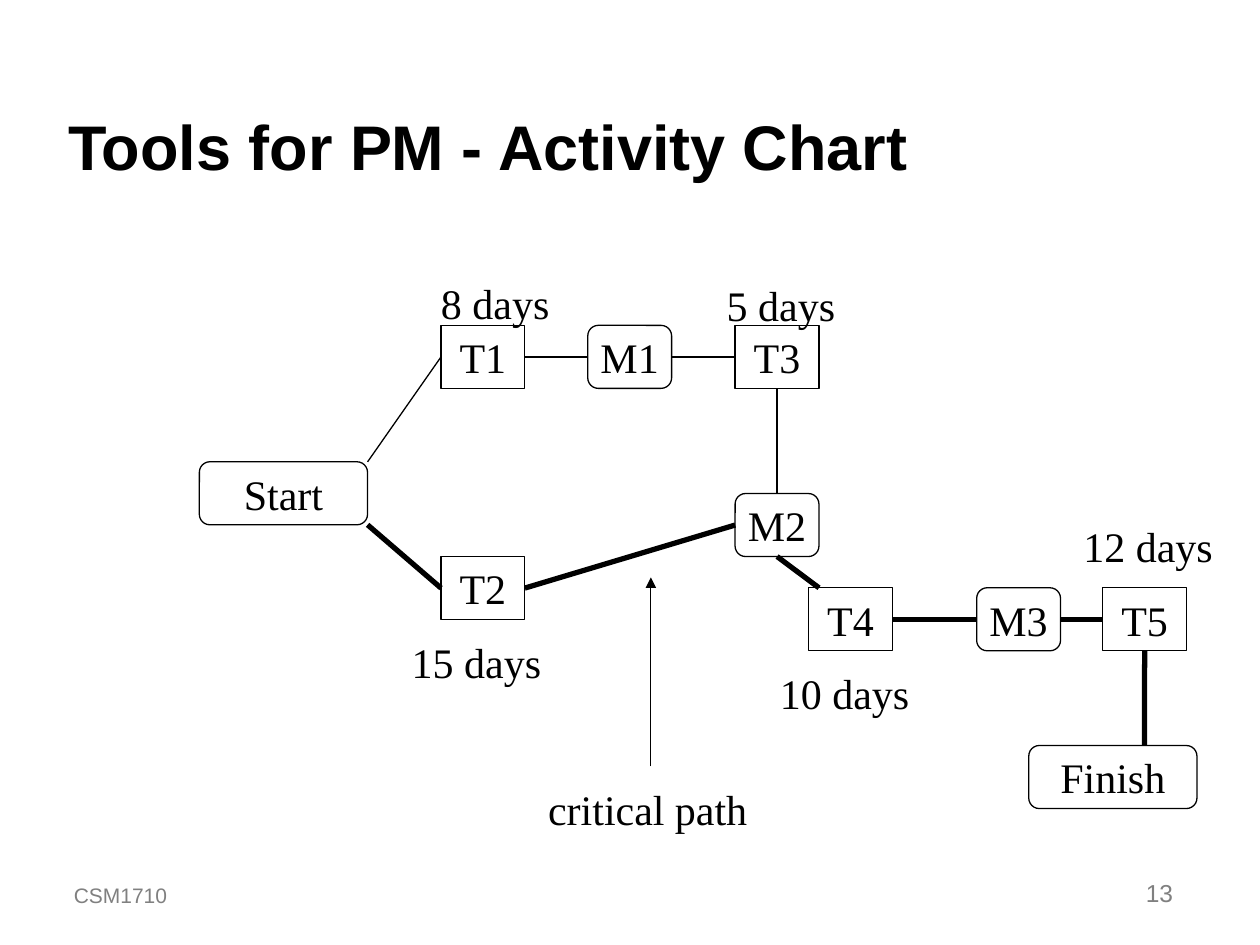
from dataclasses import dataclass

from lxml import etree
from pptx import Presentation
from pptx.dml.color import RGBColor
from pptx.enum.shapes import MSO_CONNECTOR, MSO_SHAPE
from pptx.enum.text import MSO_ANCHOR, MSO_AUTO_SIZE, PP_ALIGN
from pptx.oxml.ns import qn
from pptx.util import Cm, Pt

STRAIGHT = MSO_CONNECTOR.STRAIGHT
TASK, MILESTONE = MSO_SHAPE.RECTANGLE, MSO_SHAPE.ROUNDED_RECTANGLE
LEFT_ALIGN, CENTER, RIGHT_ALIGN = PP_ALIGN.LEFT, PP_ALIGN.CENTER, PP_ALIGN.RIGHT
MIDDLE, BOTTOM_ANCHOR = MSO_ANCHOR.MIDDLE, MSO_ANCHOR.BOTTOM
FIT_SHAPE = MSO_AUTO_SIZE.SHAPE_TO_FIT_TEXT
NO_FIT = MSO_AUTO_SIZE.NONE
TOP, LEFT, BOTTOM, RIGHT = range(4)


@dataclass(frozen=True)
class Theme:
    ink: RGBColor = RGBColor(0, 0, 0)
    paper: RGBColor = RGBColor(255, 255, 255)
    muted: RGBColor = RGBColor(128, 128, 128)
    heading_font: str = "Arial"
    body_font: str = "Times New Roman"
    title_size: int = 36
    body_size: int = 24
    footer_size: int = 12
    number_size: int = 14
    thin: float = 0.75
    thick: float = 3


theme = Theme()


def write(shape, text, size, font_name, color, alignment=LEFT_ALIGN, bold=False):
    shape.text_frame.text = text
    paragraph = shape.text_frame.paragraphs[0]
    paragraph.alignment = alignment
    font = paragraph.runs[0].font
    font.size, font.name, font.bold = Pt(size), font_name, bold
    font.color.rgb = color


def connect(begin, end, width):
    """Draw a line; each end is a (node name, side) pair or an (x, y) point in cm."""
    connector = slide.shapes.add_connector(STRAIGHT, 0, 0, 0, 0)
    if begin[0] in nodes:
        connector.begin_connect(nodes[begin[0]], begin[1])
    else:
        connector.begin_x, connector.begin_y = Cm(begin[0]), Cm(begin[1])
    if end[0] in nodes:
        connector.end_connect(nodes[end[0]], end[1])
    else:
        connector.end_x, connector.end_y = Cm(end[0]), Cm(end[1])
    connector.line.color.rgb = theme.ink
    connector.line.width = Pt(width)
    etree.SubElement(connector._element.spPr, qn("a:effectLst"))
    return connector


presentation = Presentation()
presentation.slide_width, presentation.slide_height = Cm(25.4), Cm(19.05)
slide = presentation.slides.add_slide(presentation.slide_layouts[5])

title = slide.shapes.title
title.left, title.top, title.width, title.height = Cm(1.12), Cm(0.64), Cm(21.59), Cm(3.18)
write(title, "Tools for PM - Activity Chart", theme.title_size, theme.heading_font,
      theme.ink, bold=True)
title.text_frame.vertical_anchor = BOTTOM_ANCHOR
title.text_frame.auto_size = NO_FIT

# Tasks and milestones
small, large, node_height = 1.69, 3.39, 1.27
upper_row, lower_row = 6.56, 11.85
nodes = {}
for name, kind, left, top, width in [
    ("Start", MILESTONE, 4.02, 9.31, large),
    ("T1", TASK, 8.89, upper_row, small),
    ("M1", MILESTONE, 11.85, upper_row, small),
    ("T3", TASK, 14.82, upper_row, small),
    ("T2", TASK, 8.89, 11.22, small),
    ("M2", MILESTONE, 14.82, 9.95, small),
    ("T4", TASK, 16.3, lower_row, small),
    ("M3", MILESTONE, 19.69, lower_row, small),
    ("T5", TASK, 22.23, lower_row, small),
    ("Finish", MILESTONE, 20.74, 15.03, large),
]:
    node = slide.shapes.add_shape(kind, Cm(left), Cm(top), Cm(width), Cm(node_height))
    node.shadow.inherit = False
    node.fill.solid()
    node.fill.fore_color.rgb = theme.paper
    node.line.color.rgb = theme.ink
    node.line.width = Pt(theme.thin)
    write(node, name, theme.body_size, theme.body_font, theme.ink, CENTER)
    node.text_frame.word_wrap = False
    node.text_frame.vertical_anchor = MIDDLE
    nodes[name] = node

# Dependencies, with the critical path drawn thick
for begin, end, width in [
    ((7.41, 9.31), ("T1", LEFT), theme.thin),
    (("T1", RIGHT), ("M1", LEFT), theme.thin),
    (("M1", RIGHT), ("T3", LEFT), theme.thin),
    (("T3", BOTTOM), ("M2", TOP), theme.thin),
    ((7.41, 10.58), ("T2", LEFT), theme.thick),
    (("T2", RIGHT), ("M2", LEFT), theme.thick),
    (("M2", BOTTOM), (16.51, lower_row), theme.thick),
    (("T4", RIGHT), ("M3", LEFT), theme.thick),
    (("M3", RIGHT), ("T5", LEFT), theme.thick),
    (("T5", BOTTOM), (23.07, 15.03), theme.thick),
]:
    connect(begin, end, width)

pointer = connect((13.12, 15.45), (13.12, 11.64), theme.thin)
etree.SubElement(pointer.line._get_or_add_ln(), qn("a:tailEnd"), type="triangle")

# Durations and the critical path caption
for text, left, top, width in [
    ("8 days", 8.64, 5.46, 2.69),
    ("5 days", 14.4, 5.51, 2.69),
    ("15 days", 8.05, 12.7, 3.12),
    ("10 days", 15.47, 13.34, 3.12),
    ("12 days", 21.59, 10.36, 3.12),
    ("critical path", 10.8, 15.67, 4.52),
]:
    label = slide.shapes.add_textbox(Cm(left), Cm(top), Cm(width), Cm(1.27))
    write(label, text, theme.body_size, theme.body_font, theme.ink)
    label.text_frame.word_wrap = False
    label.text_frame.auto_size = FIT_SHAPE

# Footer
for text, left, width, size, alignment in [
    ("CSM1710", 1.24, 7.62, theme.footer_size, LEFT_ALIGN),
    ("13", 18.62, 5.28, theme.number_size, RIGHT_ALIGN),
]:
    footer = slide.shapes.add_textbox(Cm(left), Cm(17.15), Cm(width), Cm(1.27))
    write(footer, text, size, theme.heading_font, theme.muted, alignment)
    footer.text_frame.word_wrap = True
    footer.text_frame.vertical_anchor = BOTTOM_ANCHOR

presentation.save("out.pptx")
